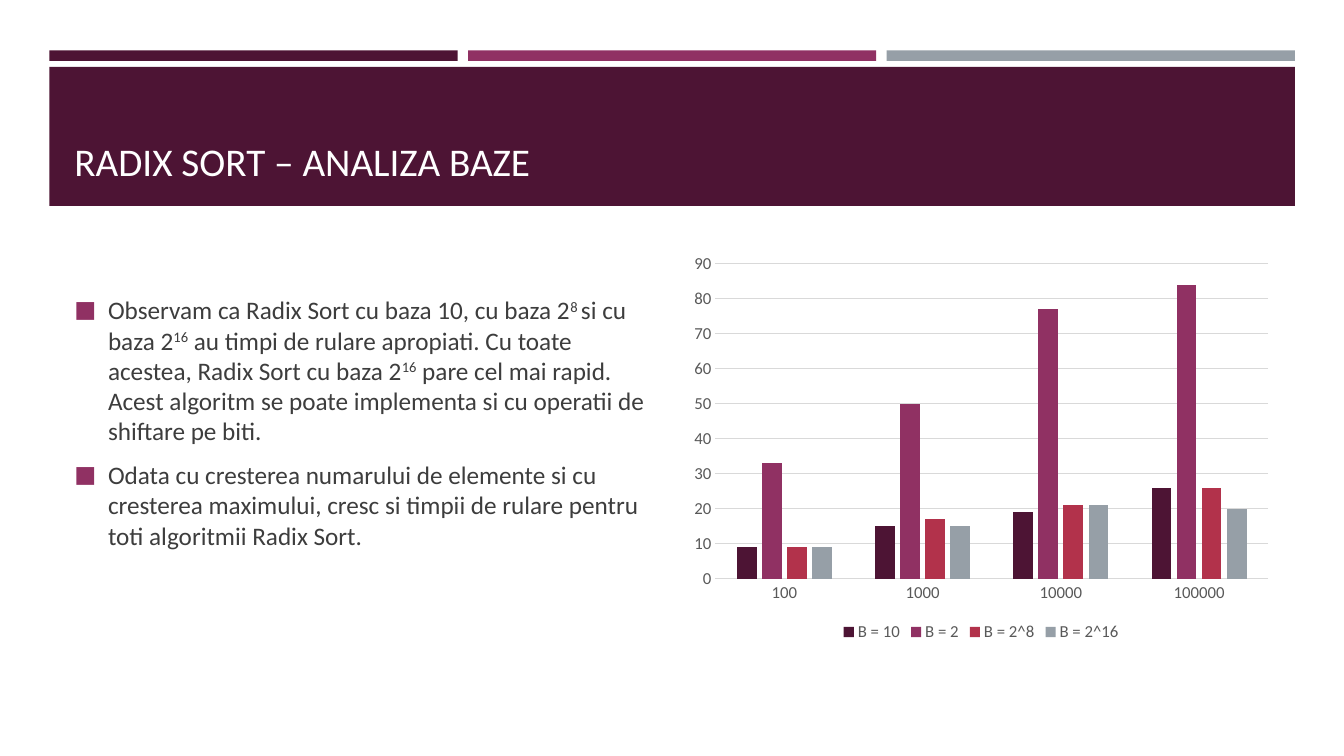
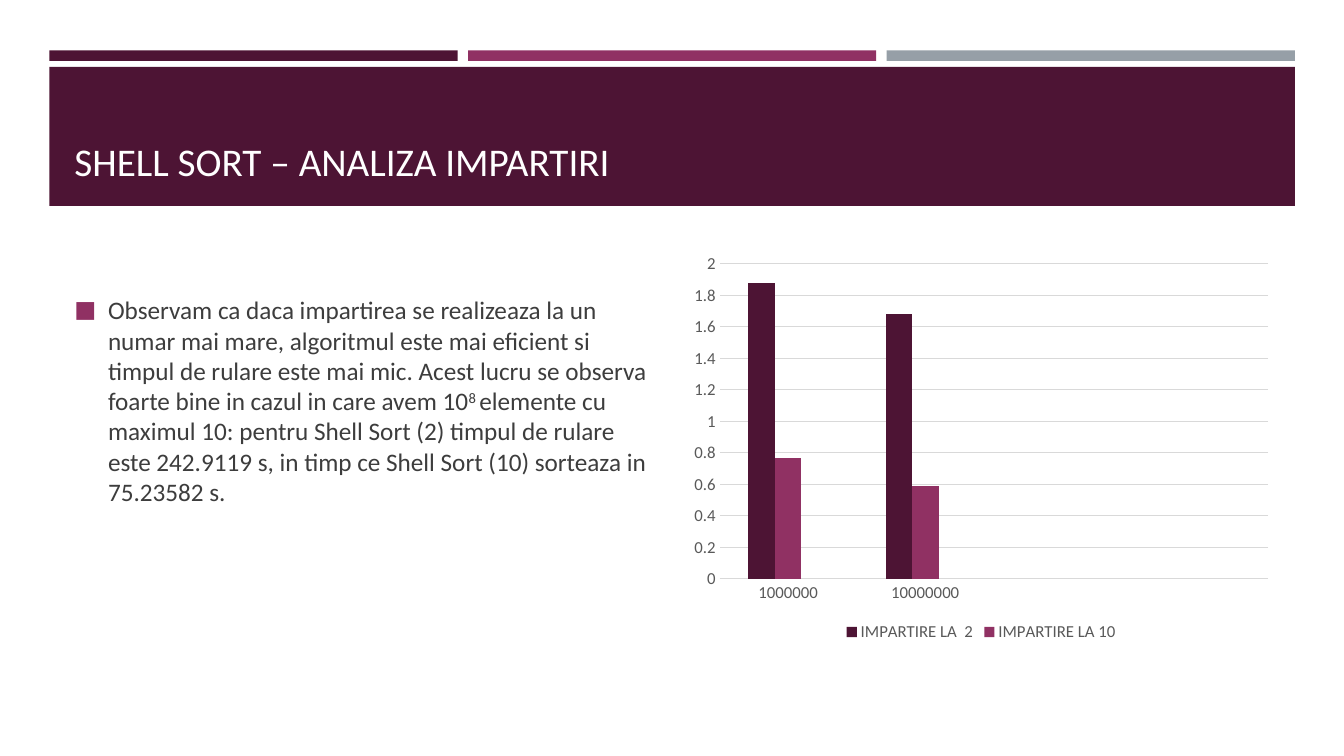
import pptx
import pptx.chart.data
import pptx.dml.color
import pptx.enum.chart
import pptx.enum.shapes
import pptx.enum.text
import pptx.oxml.ns
import pptx.util
from lxml import etree

Pt = pptx.util.Pt
qn = pptx.oxml.ns.qn

FONT = "Calibri"
COLORS = {
    "plum": "4D1434", "magenta": "903163", "red": "B2324B", "gray": "969FA7",
    "white": "FFFFFF", "body": "3D3D3D", "label": "595959", "grid": "D9D9D9",
}
BANDS = ["plum", "magenta", "gray"]
SERIES_COLORS = ["plum", "magenta", "red", "gray"]

LEFT, WIDTH, BAND_GAP = 35.3, 889.6, 7.4
TITLE_BOX = (46.1, 57.6, 868.3, 77.8)
BODY_BOX = (46.1, 207, 427, 230)
CHART_BOX = (487.4, 175.7, 427, 285.8)

# Within a paragraph, every second piece is superscript.
SLIDES = [
    {
        "title": "RADIX SORT – ANALIZA BAZE",
        "body": [
            ["Observam ca Radix Sort cu baza 10, cu baza 2", "8 ", "si cu baza 2", "16",
             " au timpi de rulare apropiati. Cu toate acestea, Radix Sort cu baza 2", "16",
             " pare cel mai rapid. Acest algoritm se poate implementa si cu operatii de "
             "shiftare pe biti."],
            ["Odata cu cresterea numarului de elemente si cu cresterea maximului, cresc si "
             "timpii de rulare pentru toti algoritmii Radix Sort."],
        ],
        "categories": ["100", "1000", "10000", "100000"],
        "series": [
            ("B = 10", [9, 15, 19, 26]),
            ("B = 2", [33, 50, 77, 84]),
            ("B = 2^8", [9, 17, 21, 26]),
            ("B = 2^16", [9, 15, 21, 20]),
        ],
        "overlap": -27,
        "axis": (90, 10),
    },
    {
        "title": "SHELL SORT – ANALIZA IMPARTIRI",
        "body": [
            ["Observam ca daca impartirea se realizeaza la un numar mai mare, algoritmul "
             "este mai eficient si timpul de rulare este mai mic. Acest lucru se observa "
             "foarte bine in cazul in care avem 10", "8 ",
             "elemente cu maximul 10: pentru Shell Sort (2) timpul de rulare este "
             "242.9119 s, in timp ce Shell Sort (10) sorteaza in 75.23582 s."],
        ],
        "categories": ["1000000", "10000000", "", ""],
        "series": [
            ("IMPARTIRE LA  2", [1.88, 1.68, None, None]),
            ("IMPARTIRE LA 10", [0.77, 0.59, None, None]),
            ("Series 3", [None] * 4),
        ],
        "overlap": 0,
        "axis": (2, 0.2),
    },
]


def rgb(name):
    return pptx.dml.color.RGBColor.from_string(COLORS[name])


def style_font(font, size, color):
    font.name, font.size = FONT, Pt(size)
    font.color.rgb = rgb(color)


def add_rect(s, x, y, w, h, color):
    sp = s.shapes.add_shape(pptx.enum.shapes.MSO_SHAPE.RECTANGLE, Pt(x), Pt(y), Pt(w), Pt(h))
    sp.shadow.inherit = False
    sp.fill.solid()
    sp.fill.fore_color.rgb = rgb(color)
    sp.line.fill.background()


def add_text_frame(s, box, anchor):
    tf = s.shapes.add_textbox(*map(Pt, box)).text_frame
    tf.word_wrap = True
    tf.vertical_anchor = anchor
    return tf


def add_header(s, title):
    band_width = (WIDTH - BAND_GAP * (len(BANDS) - 1)) / len(BANDS)
    for i, color in enumerate(BANDS):
        add_rect(s, LEFT + i * (band_width + BAND_GAP), 36, band_width, 7.5, color)
    add_rect(s, LEFT, 47.7, WIDTH, 99.3, "plum")
    tf = add_text_frame(s, TITLE_BOX, pptx.enum.text.MSO_ANCHOR.BOTTOM)
    tf.text = title
    style_font(tf.paragraphs[0].runs[0].font, 28, "white")


def set_bullet(p):
    pPr = p._p.get_or_add_pPr()
    pPr.set("marL", str(Pt(24)))
    pPr.set("indent", str(-Pt(24)))
    color = etree.SubElement(pPr, qn("a:buClr"))
    etree.SubElement(color, qn("a:srgbClr"), val=COLORS["magenta"])
    etree.SubElement(pPr, qn("a:buSzPct"), val="92000")
    etree.SubElement(pPr, qn("a:buFont"), typeface=FONT)
    etree.SubElement(pPr, qn("a:buChar"), char="■")


def add_body(s, paragraphs):
    tf = add_text_frame(s, BODY_BOX, pptx.enum.text.MSO_ANCHOR.TOP)
    for i, pieces in enumerate(paragraphs):
        p = tf.add_paragraph() if i else tf.paragraphs[0]
        p.space_before, p.space_after = Pt(3.6), Pt(6)
        set_bullet(p)
        for j, piece in enumerate(pieces):
            r = p.add_run()
            r.text = piece
            style_font(r.font, 18, "body")
            if j % 2:
                r.font._element.set("baseline", "30000")


def hide_legend_entry(legend, index):
    entry = etree.Element(qn("c:legendEntry"))
    etree.SubElement(entry, qn("c:idx"), val=str(index))
    etree.SubElement(entry, qn("c:delete"), val="1")
    legend._element.find(qn("c:legendPos")).addnext(entry)


def style_line(line, color):
    line.color.rgb = rgb(color)
    line.width = Pt(0.75)


def add_column_chart(s, content):
    data = pptx.chart.data.CategoryChartData()
    data.categories = content["categories"]
    for name, values in content["series"]:
        data.add_series(name, values)
    chart = s.shapes.add_chart(pptx.enum.chart.XL_CHART_TYPE.COLUMN_CLUSTERED,
                               *map(Pt, CHART_BOX), data).chart
    chart.has_title = False
    chart.font.name, chart.font.size = FONT, Pt(12)

    plot = chart.plots[0]
    plot.vary_by_categories = False
    plot.gap_width, plot.overlap = 219, content["overlap"]
    for series, color in zip(plot.series, SERIES_COLORS):
        series.format.fill.solid()
        series.format.fill.fore_color.rgb = rgb(color)

    cat_axis, val_axis = chart.category_axis, chart.value_axis
    for axis in (cat_axis, val_axis):
        axis.major_tick_mark = pptx.enum.chart.XL_TICK_MARK.NONE
        style_font(axis.tick_labels.font, 12, "label")
    style_line(cat_axis.format.line, "grid")
    val_axis.format.line.fill.background()
    style_line(val_axis.major_gridlines.format.line, "grid")
    val_axis.minimum_scale = 0
    val_axis.maximum_scale, val_axis.major_unit = content["axis"]

    chart.has_legend = True
    legend = chart.legend
    legend.position = pptx.enum.chart.XL_LEGEND_POSITION.BOTTOM
    legend.include_in_layout = False
    style_font(legend.font, 12, "label")
    for i, (_, values) in enumerate(content["series"]):
        if not any(values):
            hide_legend_entry(legend, i)


def main():
    prs = pptx.Presentation()
    prs.slide_width, prs.slide_height = Pt(960), Pt(540)
    for content in SLIDES:
        s = prs.slides.add_slide(prs.slide_layouts[6])
        add_header(s, content["title"])
        add_body(s, content["body"])
        add_column_chart(s, content)
    prs.save("out.pptx")


if __name__ == "__main__":
    main()
